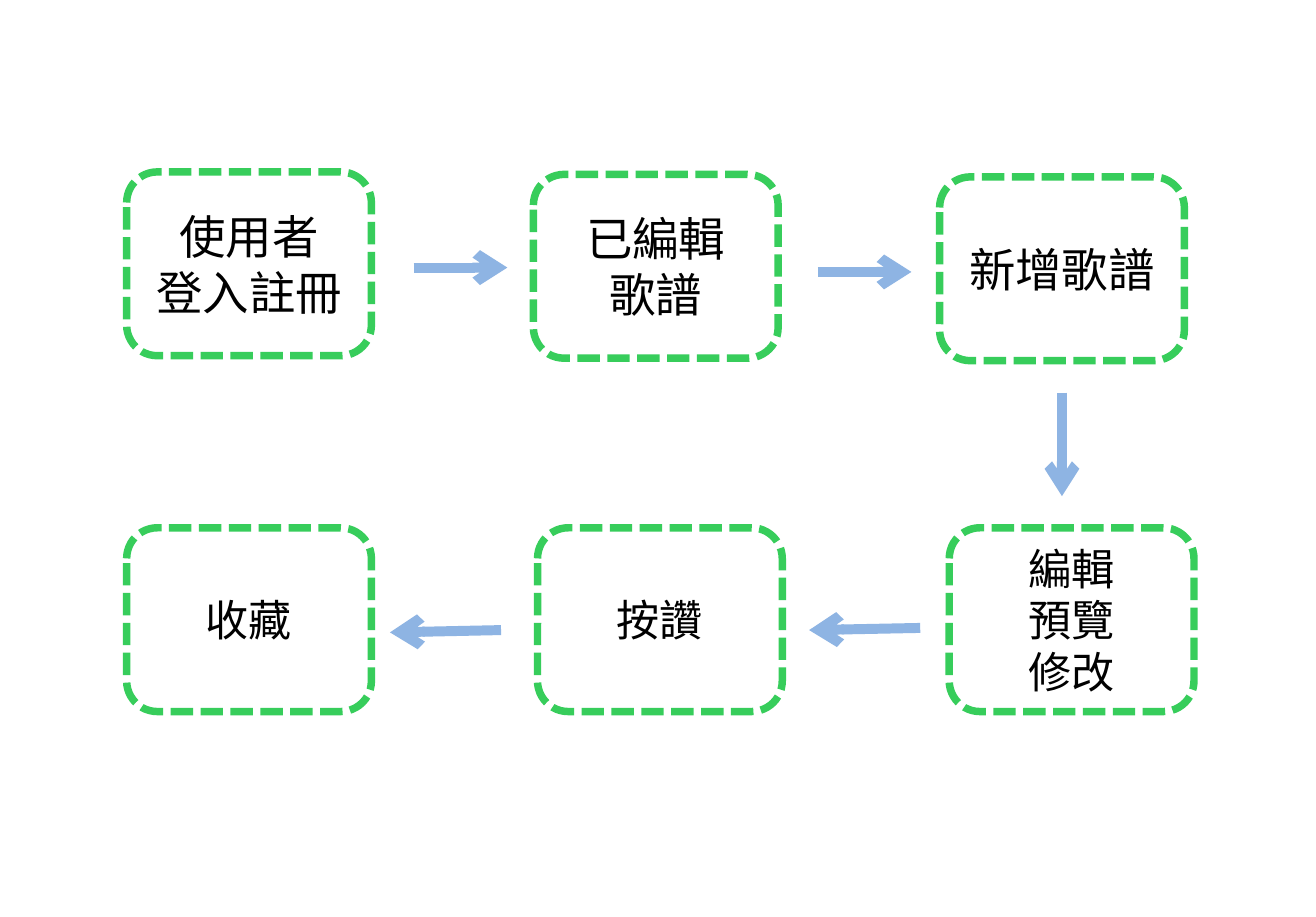
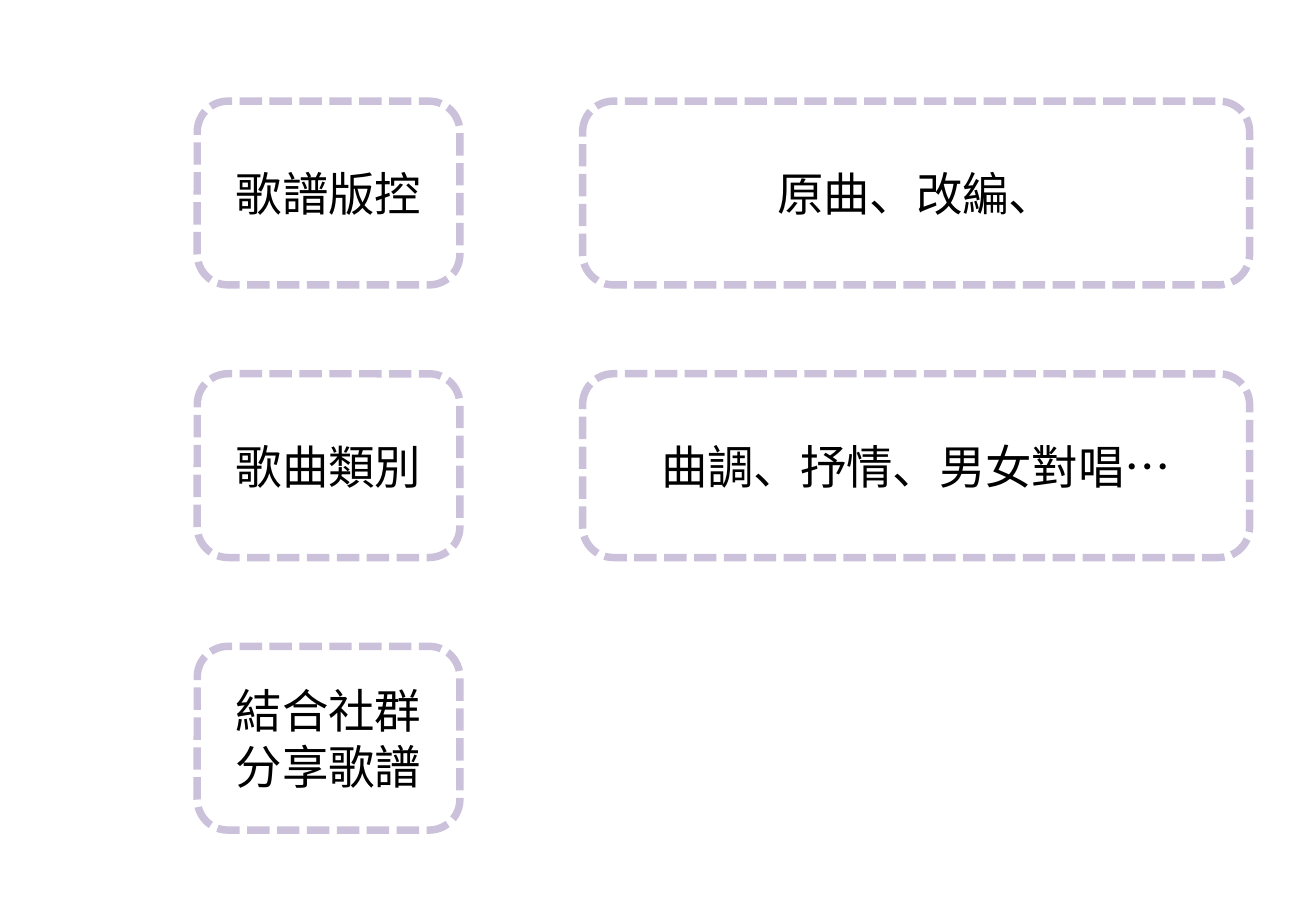
from lxml import etree
from pptx import Presentation
from pptx.dml.color import RGBColor
from pptx.enum.dml import MSO_LINE
from pptx.enum.shapes import MSO_CONNECTOR, MSO_SHAPE
from pptx.enum.text import MSO_ANCHOR, PP_ALIGN
from pptx.oxml.ns import qn
from pptx.util import Pt

COLORS = {"paper": "FFFFFF", "ink": "000000", "green": "37CD5B",
          "lilac": "CCC1DA", "blue": "8EB4E3"}
CJK = "Noto Sans CJK SC"
HIGH = 110.8  # height of every box

# Steps of the flow: left, top, text size, lines
STEP_W = 147.6
STEPS = [
    (76.4, 103.7, 28, ["使用者", "登入註冊"]),
    (321.7, 105.2, 28, ["已編輯", "歌譜"]),
    (566.7, 106.7, 28, ["新增歌譜"]),
    (572.5, 318.3, 26, ["編輯", "預覽", "修改"]),
    (324.2, 318.3, 26, ["按讚"]),
    (76.4, 318.3, 26, ["收藏"]),
]
# Arrows of the flow: start x, y, end x, y
ARROWS = [
    (249.5, 161.4, 306, 161.4),
    (493.2, 164, 549.7, 164),
    (640.5, 236.8, 640.5, 299.2),
    (555, 378.7, 488, 380),
    (302.2, 380, 235.2, 381.4),
]

# Features: one row each, label first, then its examples
FEATURES = [
    (["歌譜版控"], ["原曲、改編、"]),
    (["歌曲類別"], ["曲調、抒情、男女對唱…"]),
    (["結合社群", "分享歌譜"], None),
]
COLUMNS = [(119, 158.4), (351.4, 402.3)]  # left, width
ROW_TOP, ROW_STEP = 61, 164.4


def color(name):
    return RGBColor.from_string(COLORS[name])


def add_box(slide, left, top, wide, edge, font, size, lines):
    box = slide.shapes.add_shape(MSO_SHAPE.ROUNDED_RECTANGLE,
                                 Pt(left), Pt(top), Pt(wide), Pt(HIGH))
    box.shadow.inherit = False
    box.fill.solid()
    box.fill.fore_color.rgb = color("paper")
    box.line.color.rgb = color(edge)
    box.line.width = Pt(4.5)
    box.line.dash_style = MSO_LINE.SQUARE_DOT
    frame = box.text_frame
    frame.word_wrap = True
    frame.vertical_anchor = MSO_ANCHOR.MIDDLE
    frame.text = "\n".join(lines)
    for para in frame.paragraphs:
        para.alignment = PP_ALIGN.CENTER
        para.font.name = font
        para.font.size = Pt(size)
        para.font.color.rgb = color("ink")
        # East Asian typeface follows the Latin one
        props = para.font._element if hasattr(para.font, "_element") else para.font._rPr
        latin = props.find(qn("a:latin"))
        east = etree.Element(qn("a:ea"), typeface=CJK)
        latin.addnext(east)


def add_arrow(slide, *ends):
    arrow = slide.shapes.add_connector(MSO_CONNECTOR.STRAIGHT, *map(Pt, ends))
    arrow.line.color.rgb = color("blue")
    arrow.line.width = Pt(6)
    etree.SubElement(arrow.line._get_or_add_ln(), qn("a:tailEnd"), type="arrow")
    etree.SubElement(arrow._element.spPr, qn("a:effectLst"))


def main():
    deck = Presentation()
    deck.slide_width, deck.slide_height = Pt(793.7), Pt(553)
    blank = deck.slide_layouts[6]

    # Flow of use
    flow = deck.slides.add_slide(blank)
    for left, top, size, lines in STEPS:
        add_box(flow, left, top, STEP_W, "green", CJK, size, lines)
    for ends in ARROWS:
        add_arrow(flow, *ends)

    # Feature grid
    grid = deck.slides.add_slide(blank)
    for row, cells in enumerate(FEATURES):
        for (left, wide), lines in zip(COLUMNS, cells):
            if lines:
                add_box(grid, left, ROW_TOP + row * ROW_STEP, wide,
                        "lilac", "Arial", 28, lines)

    deck.save("out.pptx")


if __name__ == "__main__":
    main()
